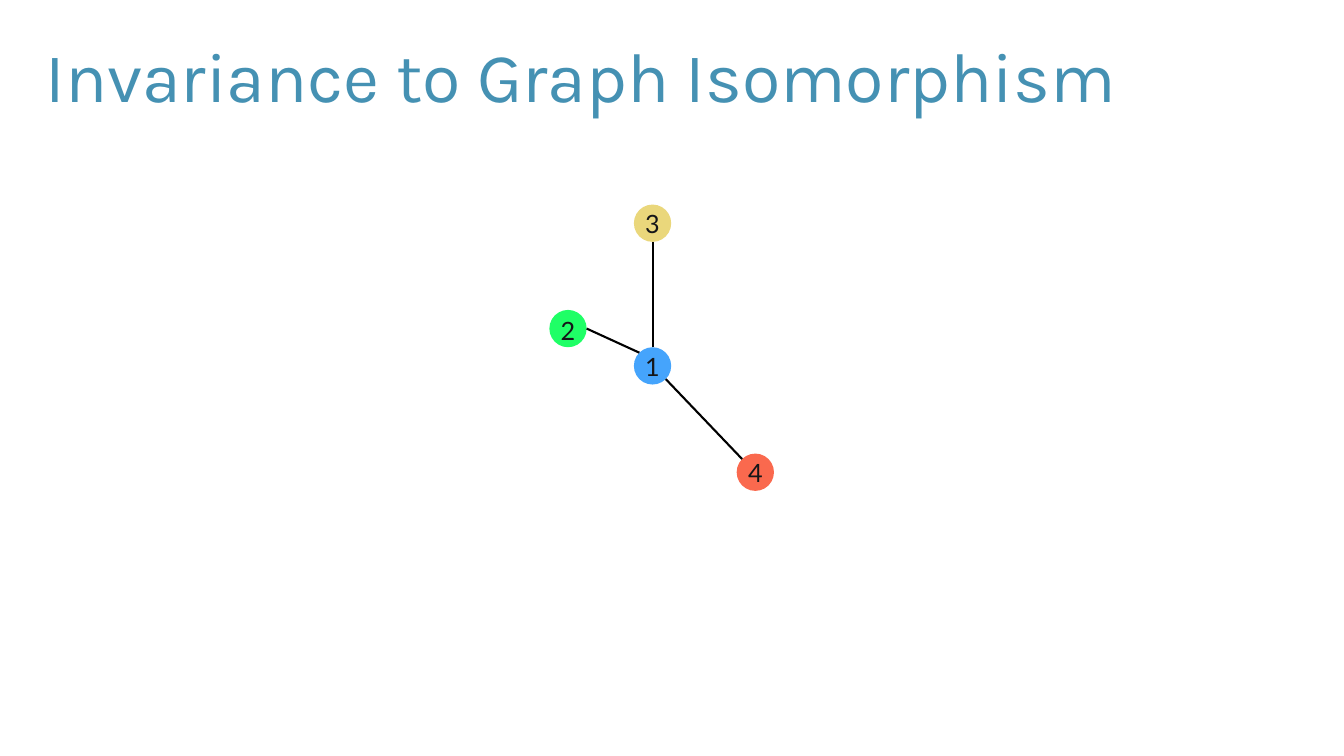
from math import cos, radians, sin

from lxml import etree
from pptx import Presentation
from pptx.dml.color import RGBColor
from pptx.enum.shapes import MSO_CONNECTOR, MSO_SHAPE
from pptx.enum.text import MSO_ANCHOR, PP_ALIGN
from pptx.oxml.ns import qn
from pptx.util import Cm, Pt

ELLIPSE = MSO_SHAPE.OVAL
STRAIGHT = MSO_CONNECTOR.STRAIGHT
TOP, MIDDLE = MSO_ANCHOR.TOP, MSO_ANCHOR.MIDDLE
LEFT, CENTER = PP_ALIGN.LEFT, PP_ALIGN.CENTER

NODE_SIZE = 1.88
LABEL_WIDTH, LABEL_HEIGHT = 1.02, 1.7

# name: centre x, centre y, fill, vertical shift of the label
NODES = {
    "1": (32.89, 18.44, "45A4FC", -0.06),
    "2": (28.63, 16.56, "1FFF66", 0.01),
    "3": (32.89, 11.25, "EAD77B", -0.09),
    "4": (38.07, 23.8, "FA694E", -0.09),
}
# node and angle on its rim (clockwise from the right) at each end
EDGES = [
    ("2", 0, "1", 225),
    ("1", 45, "4", 225),
    ("3", 90, "1", 270),
]


def color(value):
    return RGBColor.from_string(value)


def rim_point(name, angle):
    x, y = NODES[name][:2]
    radius = NODE_SIZE / 2
    return (Cm(x + radius * cos(radians(angle))),
            Cm(y + radius * sin(radians(angle))))


class GraphPage:
    title_font, title_size, title_color = "Karla", 100, "4591B3"
    label_font, label_size, label_color = "Lato", 36, "151618"
    edge_color, edge_width = "000000", 3

    def __init__(self, deck):
        self.page = deck.slides.add_slide(deck.slide_layouts[6])
        self.page.background.fill.solid()
        self.page.background.fill.fore_color.rgb = color("FFFFFF")

    def text(self, words, left, top, width, height, font, size, ink,
             spacing, align, anchor):
        box = self.page.shapes.add_textbox(Cm(left), Cm(top), Cm(width), Cm(height))
        frame = box.text_frame
        frame.word_wrap = True
        frame.vertical_anchor = anchor
        frame.margin_left = frame.margin_right = 0
        frame.margin_top = frame.margin_bottom = 0
        para = frame.paragraphs[0]
        para.text = words
        para.alignment = align
        para.line_spacing = spacing
        para.font.name = font
        para.font.size = Pt(size)
        para.font.color.rgb = color(ink)

    def title(self, words):
        self.text(words, 2.29, 2.44, 65.45, 4.39, self.title_font,
                  self.title_size, self.title_color, 0.8, LEFT, TOP)

    def node(self, x, y, fill):
        radius = NODE_SIZE / 2
        circle = self.page.shapes.add_shape(
            ELLIPSE, Cm(x - radius), Cm(y - radius), Cm(NODE_SIZE), Cm(NODE_SIZE))
        circle.shadow.inherit = False
        circle.fill.solid()
        circle.fill.fore_color.rgb = color(fill)
        circle.line.fill.background()

    def label(self, words, x, y):
        self.text(words, x - LABEL_WIDTH / 2, y - LABEL_HEIGHT / 2,
                  LABEL_WIDTH, LABEL_HEIGHT, self.label_font,
                  self.label_size, self.label_color, 1.1, CENTER, MIDDLE)

    def edge(self, start, end):
        line = self.page.shapes.add_connector(STRAIGHT, *start, *end)
        line.line.color.rgb = color(self.edge_color)
        line.line.width = Pt(self.edge_width)
        etree.SubElement(line._element.spPr, qn("a:effectLst"))


def main():
    deck = Presentation()
    deck.slide_width, deck.slide_height = Cm(67.74), Cm(38.1)
    graph = GraphPage(deck)
    graph.title("Invariance to Graph Isomorphism")
    for x, y, fill, _ in NODES.values():
        graph.node(x, y, fill)
    for start, start_angle, end, end_angle in EDGES:
        graph.edge(rim_point(start, start_angle), rim_point(end, end_angle))
    for name, (x, y, _, shift) in NODES.items():
        graph.label(name, x, y + shift)
    deck.save("out.pptx")


if __name__ == "__main__":
    main()
